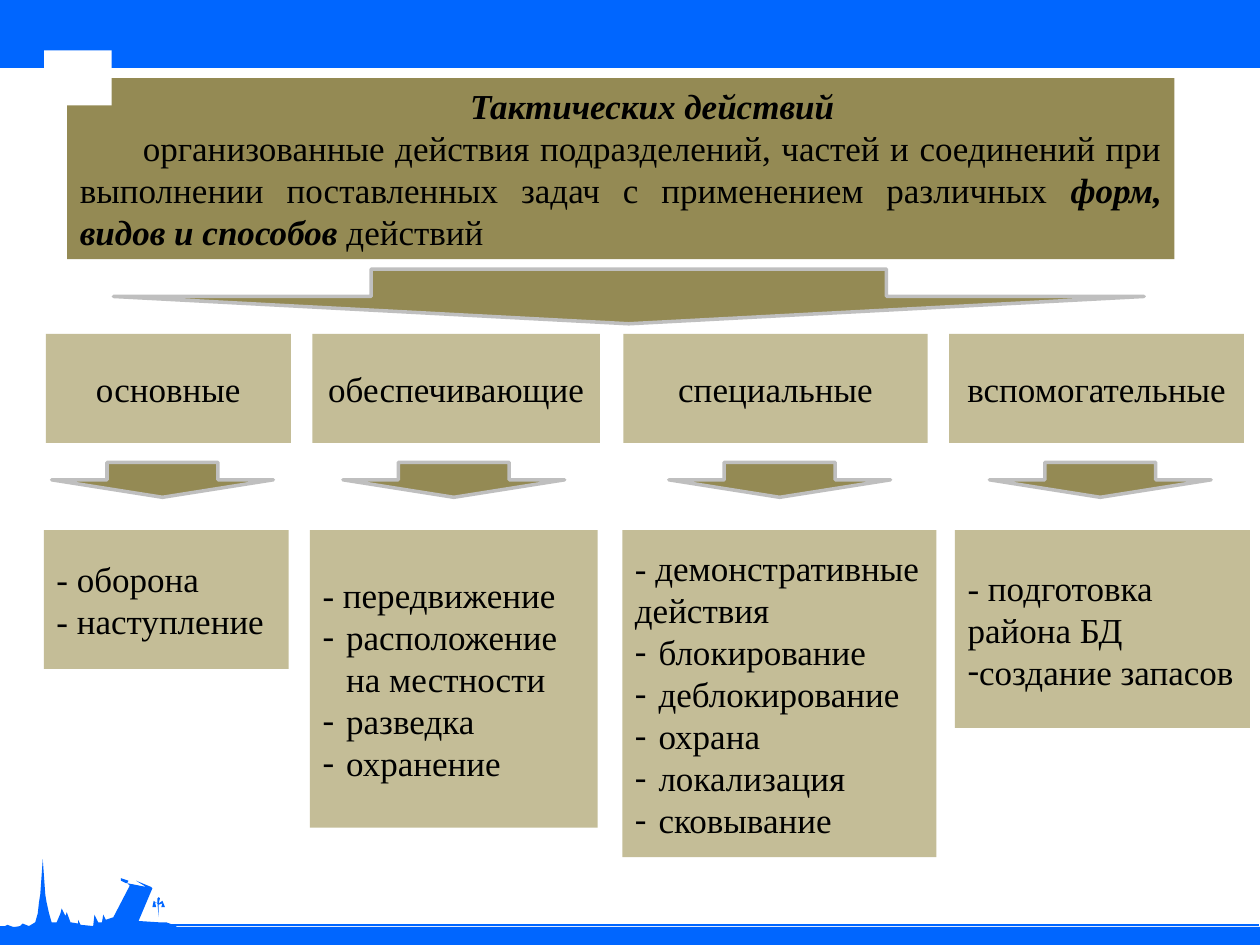
import pptx
import pptx.util
import pptx.dml.color
import pptx.enum.shapes
import pptx.enum.text
import pptx.oxml
import pptx.oxml.ns
from dataclasses import dataclass

Pt = pptx.util.Pt
SHAPE = pptx.enum.shapes.MSO_SHAPE
ALIGN = pptx.enum.text.PP_ALIGN


@dataclass(frozen=True)
class Theme:
    font: str = "Times New Roman"
    size: int = 20
    text: str = "000000"
    paper: str = "FFFFFF"
    blue: str = "0066FF"
    dark: str = "948A54"
    light: str = "C4BD97"
    outline: str = "BFBFBF"


THEME = Theme()
STRONG = {"bold": True, "italic": True}
PLAIN = {"bold": False, "italic": False}

DEFINITION = [
    (ALIGN.CENTER, [("Тактических действий", STRONG)]),
    (ALIGN.JUSTIFY, [
        ("организованные действия подразделений, частей и соединений при "
         "выполнении поставленных задач с применением различных ", PLAIN),
        ("форм, видов и способов", STRONG),
        (" действий", PLAIN),
    ]),
]

# Each box is (left, width); list items are (text, bullet hang or None).
HANG = 13.5
COLUMNS = [
    {"name": "основные", "head": (26.2, 140), "list": (25, 140), "height": 79.2, "arrow": 29.5,
     "items": [("- оборона", None), ("- наступление", None)]},
    {"name": "обеспечивающие", "head": (178.5, 164.4), "list": (177.1, 164.4), "height": 169.9,
     "arrow": 196,
     "items": [("- передвижение", None), ("расположение на местности", HANG),
               ("разведка", HANG), ("охранение", HANG)]},
    {"name": "специальные", "head": (356.2, 174), "list": (355.6, 179.5), "height": 186.8,
     "arrow": 382.2,
     "items": [("- демонстративные действия", None), ("блокирование", HANG),
               ("деблокирование", HANG), ("охрана", HANG), ("локализация", HANG),
               ("сковывание", HANG)]},
    {"name": "вспомогательные", "head": (542.4, 168.5), "list": (545.7, 168.5), "height": 113,
     "arrow": 565.4,
     "items": [("- подготовка района БД", None), ("создание запасов", 0)]},
]
HEAD_TOP, HEAD_HEIGHT = 190.8, 62.3
ARROW_TOP, ARROW_WIDTH, ARROW_HEIGHT = 264.2, 126.7, 20
LIST_TOP = 303

# Skyline contours, in hundredths of an inch on the page.
SKYLINE = [
    [(0, 746), (0, 735), (4, 735), (6, 734), (11, 736), (16, 735), (18, 733), (23, 735),
     (28, 732), (30, 725), (31, 716), (32, 710), (34, 682), (36, 710), (37, 716), (39, 725),
     (41, 732), (45, 732), (48, 725), (49, 721), (52, 727), (53, 724), (56, 732), (62, 733),
     (62, 730), (64, 734), (74, 735), (75, 726), (78, 732), (81, 732), (82, 726), (84, 730),
     (90, 728), (103, 703), (101, 701), (116, 704), (108, 699), (120, 704), (121, 705),
     (110, 731), (126, 732), (132, 732), (140, 735), (140, 746)],
    [(126, 728), (125, 717), (123, 716), (124, 720), (121, 720), (122, 715), (125, 717),
     (125, 713), (126, 712), (127, 713), (126, 717), (129, 715), (131, 720), (128, 720),
     (129, 717), (126, 718)],
    [(100, 701), (96, 699), (96, 697), (102, 699), (101, 701)],
]


def rgb(code):
    return pptx.dml.color.RGBColor.from_string(code)


def paint(shape, fill, line=None):
    shape.fill.solid()
    shape.fill.fore_color.rgb = rgb(fill)
    if line:
        shape.line.color.rgb = rgb(line)
        shape.line.width = Pt(2)
    else:
        shape.line.fill.background()


def place(box, left, top, width, height):
    bounds = {"left": left, "top": top, "width": width, "height": height}
    for name, value in bounds.items():
        setattr(box, name, Pt(value))


def add_block(page, kind, bounds, fill, line=None):
    shape = page.shapes.add_shape(kind, *map(Pt, bounds))
    shape.shadow.inherit = False
    paint(shape, fill, line)
    return shape


def set_bullet(para, hang, first=0):
    """Give a dash with a hanging indent, or no bullet when hang is None."""
    props = para._p.get_or_add_pPr()
    props.set("marL", str(Pt(hang or 0)))
    props.set("indent", str(Pt(first - (hang or 0))))
    if hang is None:
        pptx.oxml.ns.qn("a:buNone")
        props.append(props.makeelement(pptx.oxml.ns.qn("a:buNone"), {}))
    else:
        for tag, values in (("a:buFont", {"typeface": THEME.font}), ("a:buChar", {"char": "-"})):
            props.append(props.makeelement(pptx.oxml.ns.qn(tag), values))


def write(box, paragraphs):
    """Fill a box from (alignment, spans, bullet hang, first-line indent) rows."""
    frame = box.text_frame
    settings = {"word_wrap": True, "auto_size": pptx.enum.text.MSO_AUTO_SIZE.NONE,
                "vertical_anchor": pptx.enum.text.MSO_ANCHOR.MIDDLE}
    for name, value in settings.items():
        setattr(frame, name, value)
    for index, (alignment, spans, hang, first) in enumerate(paragraphs):
        para = frame.add_paragraph() if index else frame.paragraphs[0]
        set_bullet(para, hang, first)
        para.alignment = alignment
        para.space_before = Pt(0)
        for text, style in spans:
            span = para.add_run()
            span.text = text
            span.font.color.rgb = rgb(THEME.text)
            for name, value in {"name": THEME.font, "size": Pt(THEME.size), **style}.items():
                setattr(span.font, name, value)


def add_line(page, left, right, y, width):
    line = page.shapes.add_connector(
        pptx.enum.shapes.MSO_CONNECTOR.STRAIGHT, Pt(left), Pt(y), Pt(right), Pt(y))
    line.line.color.rgb = rgb(THEME.blue)
    line.line.width = Pt(width)
    props = line._element.spPr
    props.append(props.makeelement(pptx.oxml.ns.qn("a:effectLst"), {}))


def add_skyline(page):
    first, *others = SKYLINE
    builder = page.shapes.build_freeform(*first[0], scale=Pt(72) / 100)
    builder.add_line_segments(first[1:], close=True)
    for contour in others:
        builder.move_to(*contour[0])
        builder.add_line_segments(contour[1:], close=True)
    skyline = builder.convert_to_shape()
    skyline.shadow.inherit = False
    paint(skyline, THEME.blue)


def add_frame(page):
    add_block(page, SHAPE.RECTANGLE, (0, 0, 720, 37.4), THEME.blue)
    add_skyline(page)
    add_block(page, SHAPE.RECTANGLE, (0, 529.7, 720, 10.3), THEME.blue)
    add_line(page, 0, 720, 36.7, 4.5)
    add_line(page, 93, 719.3, 528.5, 0.75)
    add_block(page, SHAPE.RECTANGLE, (25.2, 28.8, 38.6, 31.5), THEME.paper)


def add_column(page, column, body):
    left, width = column["head"]
    head = add_block(page, SHAPE.RECTANGLE, (left, HEAD_TOP, width, HEAD_HEIGHT), THEME.light)
    write(head, [(ALIGN.CENTER, [(column["name"], PLAIN)], None, 0)])
    add_block(page, SHAPE.DOWN_ARROW, (column["arrow"], ARROW_TOP, ARROW_WIDTH, ARROW_HEIGHT),
              THEME.dark, THEME.outline)
    left, width = column["list"]
    place(body, left, LIST_TOP, width, column["height"])
    paint(body, THEME.light)
    write(body, [(ALIGN.LEFT, [(text, PLAIN)], hang, 0) for text, hang in column["items"]])


def main():
    deck = pptx.Presentation()
    deck.slide_width, deck.slide_height = Pt(720), Pt(540)
    page = deck.slides.add_slide(deck.slide_layouts.get_by_name("Comparison"))
    page.background.fill.solid()
    page.background.fill.fore_color.rgb = rgb(THEME.paper)

    title, *bodies = list(page.placeholders)
    place(title, 38.4, 44.6, 632.7, 103.5)
    paint(title, THEME.dark)
    write(title, [(alignment, spans, None, 36) for alignment, spans in DEFINITION])

    add_frame(page)
    add_block(page, SHAPE.DOWN_ARROW, (64.8, 153.8, 589, 31.2), THEME.dark, THEME.outline)
    for column, body in zip(COLUMNS, bodies):
        add_column(page, column, body)
    deck.save("out.pptx")


if __name__ == "__main__":
    main()
